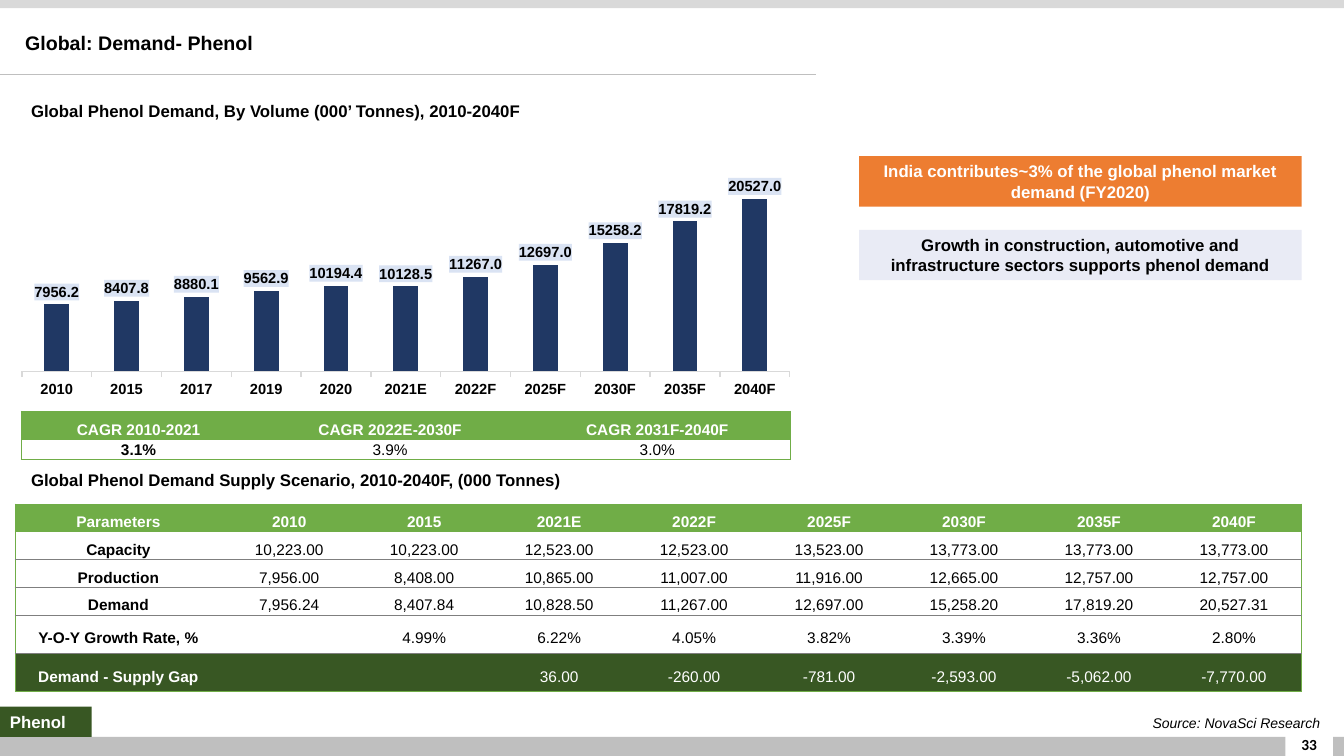
from dataclasses import dataclass

from lxml import etree
from pptx import Presentation
from pptx.chart.data import CategoryChartData
from pptx.dml.color import RGBColor
from pptx.enum.chart import XL_CHART_TYPE, XL_LABEL_POSITION, XL_TICK_LABEL_POSITION, XL_TICK_MARK
from pptx.enum.shapes import MSO_CONNECTOR, MSO_SHAPE
from pptx.enum.text import MSO_ANCHOR, PP_ALIGN
from pptx.oxml import parse_xml
from pptx.oxml.ns import nsdecls, qn
from pptx.util import Inches, Pt

LEFT, CENTER, RIGHT, JUSTIFY = PP_ALIGN.LEFT, PP_ALIGN.CENTER, PP_ALIGN.RIGHT, PP_ALIGN.JUSTIFY
TOP, MIDDLE = MSO_ANCHOR.TOP, MSO_ANCHOR.MIDDLE
COLUMNS = XL_CHART_TYPE.COLUMN_CLUSTERED
LABEL_END = XL_LABEL_POSITION.OUTSIDE_END
NO_LABELS = XL_TICK_LABEL_POSITION.NONE
TICK_OUT, TICK_NONE = XL_TICK_MARK.OUTSIDE, XL_TICK_MARK.NONE


@dataclass(frozen=True)
class Theme:
    font: str = "Arial"
    number_font: str = "Calibri"
    black: str = "000000"
    white: str = "FFFFFF"
    silver: str = "BFBFBF"
    pale: str = "D9D9D9"
    rule: str = "7F7F7F"
    green: str = "70AD47"
    forest: str = "385723"
    navy: str = "203864"
    label: str = "DAE3F3"
    orange: str = "ED7D31"
    ice: str = "E9EBF5"
    title: float = 14
    heading: float = 12
    table: float = 11
    chart: float = 10.5
    source: float = 10


THEME = Theme()

DEMAND = {
    "2010": 7956.2, "2015": 8407.8, "2017": 8880.1, "2019": 9562.9, "2020": 10194.4, "2021E": 10128.5,
    "2022F": 11267.0, "2025F": 12697.0, "2030F": 15258.2, "2035F": 17819.2, "2040F": 20527.0,
}
GROWTH = [
    ["CAGR 2010-2021", "CAGR 2022E-2030F", "CAGR 2031F-2040F"],
    ["3.1%", "3.9%", "3.0%"],
]
SUPPLY = [
    ["Parameters", "2010", "2015", "2021E", "2022F", "2025F", "2030F", "2035F", "2040F"],
    ["Capacity", "10,223.00", "10,223.00", "12,523.00", "12,523.00", "13,523.00", "13,773.00", "13,773.00", "13,773.00"],
    ["Production", "7,956.00", "8,408.00", "10,865.00", "11,007.00", "11,916.00", "12,665.00", "12,757.00", "12,757.00"],
    ["Demand", "7,956.24", "8,407.84", "10,828.50", "11,267.00", "12,697.00", "15,258.20", "17,819.20", "20,527.31"],
    ["Y-O-Y Growth Rate, %", "", "4.99%", "6.22%", "4.05%", "3.82%", "3.39%", "3.36%", "2.80%"],
    ["Demand - Supply Gap", "", "", "36.00", "-260.00", "-781.00", "-2,593.00", "-5,062.00", "-7,770.00"],
]


def rgb(value):
    return RGBColor.from_string(value)


def style_font(font, size, color, bold=False, italic=False, name=THEME.font):
    font.name, font.size, font.bold, font.italic = name, Pt(size), bold, italic
    font.color.rgb = rgb(color)


def write(frame, text, size, color, align=LEFT, anchor=TOP, spacing=1.0, after=0, **style):
    frame.word_wrap, frame.vertical_anchor = True, anchor
    para = frame.paragraphs[0]
    para.alignment, para.line_spacing, para.space_after = align, spacing, Pt(after)
    span = para.add_run()
    span.text = text
    style_font(span.font, size, color, **style)


def add_text(page, box, text, size, color=THEME.black, **style):
    shape = page.shapes.add_textbox(*map(Inches, box))
    write(shape.text_frame, text, size, color, **style)


def add_panel(page, box, fill, text="", color=THEME.white, align=CENTER):
    shape = page.shapes.add_shape(MSO_SHAPE.RECTANGLE, *map(Inches, box))
    shape.shadow.inherit = False
    shape.fill.solid()
    shape.fill.fore_color.rgb = rgb(fill)
    shape.line.fill.background()
    if text:
        write(shape.text_frame, text, THEME.heading, color, align, bold=True)


def set_border(cell, side, color):
    props = cell._tc.get_or_add_tcPr()
    line = etree.SubElement(props, qn(f"a:ln{side}"), w=str(Pt(0.5)))
    if color:
        fill = etree.SubElement(line, qn("a:solidFill"))
        etree.SubElement(fill, qn("a:srgbClr"), val=color)
    else:
        etree.SubElement(line, qn("a:noFill"))


def add_grid(page, box, rows, widths, heights, body_spacing, bold_column=True, total_row=None):
    """Table with a green header and frame; total_row is the index of a dark closing row."""
    table = page.shapes.add_table(len(rows), len(widths), *map(Inches, box)).table
    for column, width in zip(table.columns, widths):
        column.width = Inches(width)
    for row, height in zip(table.rows, heights):
        row.height = Inches(height)
    last_row, last_col = len(rows) - 1, len(widths) - 1
    for r, values in enumerate(rows):
        header, total = r == 0, r == total_row
        fill = THEME.green if header else THEME.forest if total else THEME.white
        color = THEME.white if header or total else THEME.black
        above = THEME.green if r < 2 else THEME.rule
        below = THEME.green if r in (0, last_row) else THEME.rule
        for c, text in enumerate(values):
            cell = table.cell(r, c)
            set_border(cell, "L", THEME.green if c == 0 else None)
            set_border(cell, "R", THEME.green if c == last_col else None)
            set_border(cell, "T", above)
            set_border(cell, "B", below)
            cell.fill.solid()
            cell.fill.fore_color.rgb = rgb(fill)
            cell.margin_left = cell.margin_right = Inches(0.07)
            cell.margin_top = cell.margin_bottom = 0
            cell.vertical_anchor = MIDDLE
            if text:
                write(cell.text_frame, text, THEME.table, color, CENTER, MIDDLE,
                      1.5 if header else body_spacing, 8, bold=header or (bold_column and c == 0))
            else:
                cell.text_frame.paragraphs[0].font.size = Pt(THEME.table)


def add_demand_chart(page, box):
    data = CategoryChartData(number_format="0.0")
    data.categories = list(DEMAND)
    data.add_series("Series 1", list(DEMAND.values()))
    chart = page.shapes.add_chart(COLUMNS, *map(Inches, box), data).chart
    chart.has_legend = chart.has_title = False
    style_font(chart.font, THEME.chart, THEME.black, bold=True)

    years, volume = chart.category_axis, chart.value_axis
    years.major_tick_mark = TICK_OUT
    years.format.line.color.rgb = rgb(THEME.pale)
    years.format.line.width = Pt(1)
    style_font(years.tick_labels.font, THEME.chart, THEME.black, bold=True)
    volume.minimum_scale, volume.maximum_scale = 0, 25000
    volume.has_major_gridlines = False
    volume.major_tick_mark, volume.tick_label_position = TICK_NONE, NO_LABELS
    volume.format.line.fill.background()

    plot = chart.plots[0]
    plot.gap_width, plot.vary_by_categories = 181, False
    bars = plot.series[0].format.fill
    bars.solid()
    bars.fore_color.rgb = rgb(THEME.navy)
    plot.has_data_labels = True
    labels = plot.data_labels
    labels.show_value, labels.position = True, LABEL_END
    labels.number_format, labels.number_format_is_linked = "0.0", False
    style_font(labels.font, THEME.chart, THEME.black, bold=True)

    # Label background and inner plot area
    space = chart._chartSpace
    space.find(".//" + qn("c:dLbls")).find(qn("c:numFmt")).addnext(parse_xml(
        f'<c:spPr {nsdecls("c", "a")}><a:solidFill><a:srgbClr val="{THEME.label}"/></a:solidFill></c:spPr>'))
    area = space.find(".//" + qn("c:plotArea"))
    for old in area.findall(qn("c:layout")):
        area.remove(old)
    area.insert(0, parse_xml(
        f'<c:layout {nsdecls("c")}><c:manualLayout><c:layoutTarget val="inner"/>'
        '<c:xMode val="edge"/><c:yMode val="edge"/><c:x val="0"/><c:y val="0.128"/>'
        '<c:w val="1"/><c:h val="0.742"/></c:manualLayout></c:layout>'))


def add_frame(page, width, height):
    # Bars, title rule and page number
    add_panel(page, (0, height - 0.19, width, 0.19), THEME.silver)
    add_panel(page, (0, 0, width, 0.08), THEME.pale)
    add_panel(page, (12.75, height - 0.37, 0.47, 0.37), THEME.white)
    add_text(page, (12.66, height - 0.32, 0.65, 0.4), "33", THEME.table, align=CENTER,
             anchor=MIDDLE, bold=True, name=THEME.number_font)
    rule = page.shapes.add_connector(MSO_CONNECTOR.STRAIGHT, 0, Inches(0.74), Inches(8.09), Inches(0.74))
    rule.line.color.rgb = rgb(THEME.silver)
    rule.line.width = Pt(0.5)
    etree.SubElement(rule._element.spPr, qn("a:effectLst"))
    # Title, source and section tag
    add_text(page, (0.15, 0.17, 8.11, 0.5), "Global: Demand- Phenol", THEME.title, anchor=MIDDLE, bold=True)
    add_text(page, (10.82, height - 0.47, 2.37, 0.27), "Source: NovaSci Research", THEME.source,
             align=RIGHT, spacing=1.07, italic=True)
    add_panel(page, (0, height - 0.49, 0.91, 0.3), THEME.forest, "Phenol", align=LEFT)


def add_demand(page, left, top, width):
    add_text(page, (left, top, 5.9, 0.31), "Global Phenol Demand, By Volume (000’ Tonnes), 2010-2040F",
             THEME.heading, align=JUSTIFY, spacing=1.07, bold=True)
    add_demand_chart(page, (left, top + 0.3, width, 2.81))
    add_grid(page, (left, top + 3.14, width, 0.48), GROWTH, (2.33, 2.66, 2.64), (0.28, 0.2), 1.07)


def add_supply(page, left, top, width):
    add_text(page, (left + 0.06, top, 6.7, 0.31), "Global Phenol Demand Supply Scenario, 2010-2040F, (000 Tonnes)",
             THEME.heading, align=JUSTIFY, spacing=1.07, bold=True)
    widths = [2.05] + [(width - 2.05) / 8] * 8
    add_grid(page, (left, top + 0.4, width, 1.86), SUPPLY, widths, [0.27] * 4 + [0.38] * 2, 1.5, total_row=5)


def add_messages(page, left, top, width):
    messages = [
        (THEME.orange, THEME.white, "India contributes~3% of the global phenol market demand (FY2020)"),
        (THEME.ice, THEME.black, "Growth in construction, automotive and infrastructure sectors supports phenol demand"),
    ]
    for index, (fill, color, text) in enumerate(messages):
        add_panel(page, (left, top + 0.73 * index, width, 0.5), fill, text, color)


def main():
    deck = Presentation()
    deck.slide_width, deck.slide_height = Inches(13.33), Inches(7.5)
    page = deck.slides.add_slide(deck.slide_layouts[6])
    add_frame(page, 13.33, 7.5)
    add_demand(page, 0.21, 0.94, 7.63)
    add_supply(page, 0.15, 4.6, 12.76)
    add_messages(page, 8.52, 1.55, 4.39)
    deck.save("out.pptx")


if __name__ == "__main__":
    main()
